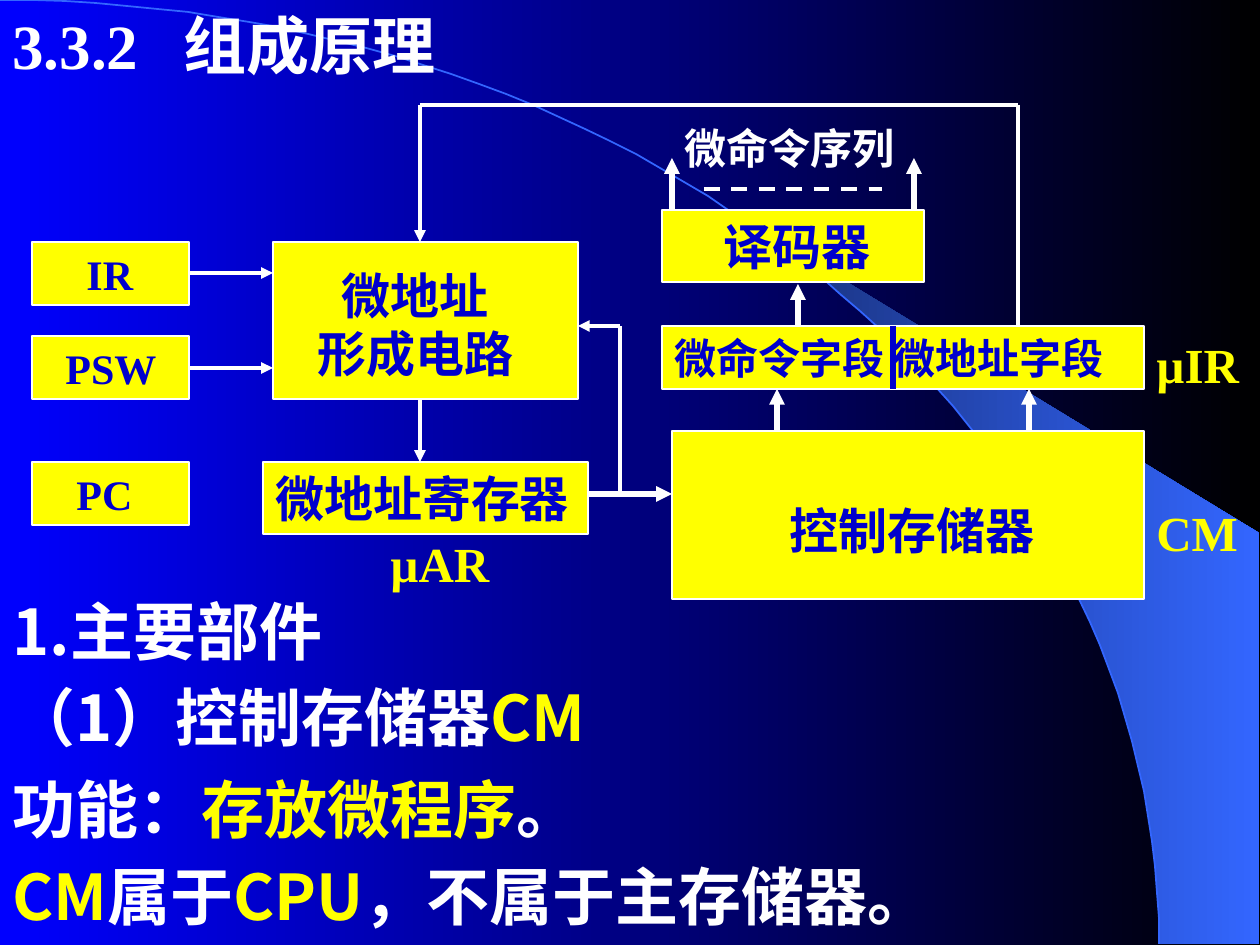
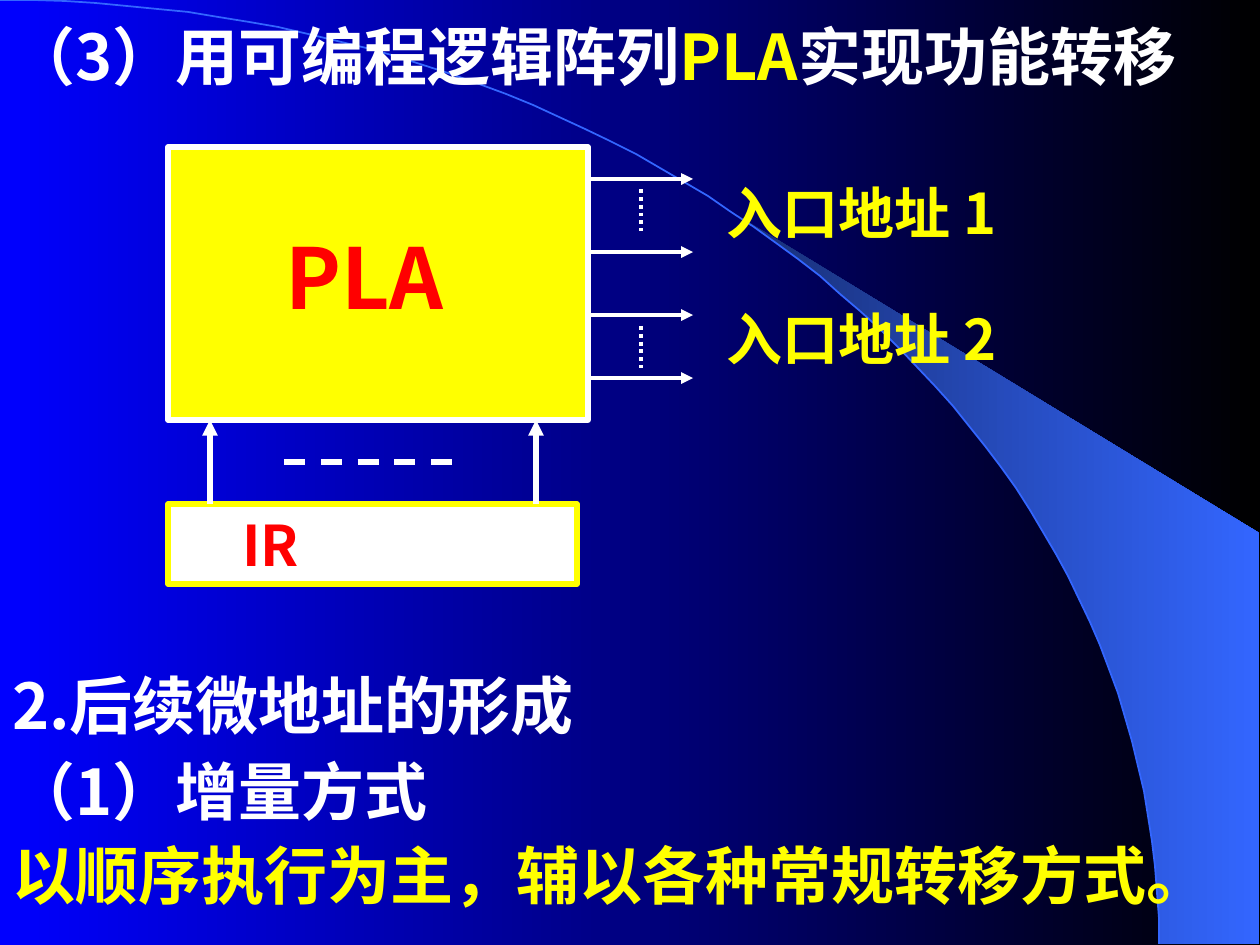
"""Builds two slides on the structure of a microprogrammed control unit."""
import itertools

import pptx
import pptx.dml.color
import pptx.enum.dml
import pptx.enum.shapes
import pptx.enum.text
import pptx.oxml.ns
import pptx.util
from lxml import etree

PX = 914400 / 126
WIDTH, HEIGHT = 1260, 945
COLORS = {"white": "FFFFFF", "yellow": "FFFF00", "navy": "0000CC", "red": "FF0000",
          "blue": "0000FF", "black": "000000", "arc": "3366FF", "wedge": "182F76"}
SERIF, SANS = "Times New Roman", "Noto Sans CJK SC"
DASH = pptx.enum.dml.MSO_LINE.DASH
DOTS = pptx.enum.dml.MSO_LINE.ROUND_DOT

ARC_CONTROLS = [(0, 0), (640, 0), (1159, 422), (1159, 944)]
ARC_STEPS = 60
WEDGE_START = (742, 218)
WEDGE_CORNERS = [(1259, 944), (1259, 533)]

HEADING = dict(size=36, colors=("white", "yellow"), spacing=0.7)
HIGHLIGHT = dict(HEADING, colors=("yellow", "white"))
SECTION = dict(HEADING, spacing=0.6)
ENTRY = dict(size=32, colors=("yellow",), spacing=0.7)
UNIT = dict(size=28, colors=("navy",), font=SERIF)
BOX = dict(UNIT, fill="yellow", border="white")
SMALL_BOX = dict(BOX, size=24)
ABBREVIATION = dict(size=28, colors=("yellow",), font=SERIF)

STRUCTURE_TEXTS = [
    ((0, 0, 588, 88), "3.3.2\t组成原理", dict(size=36, font=SERIF, tab=171)),
    ((0, 613, 420, 58), "1.主要部件", SECTION),
    ((0, 693, 766, 66), "（1）控制存储器|CM", HEADING),
    ((0, 785, 231, 66), "功能：", HEADING),
    ((189, 785, 609, 66), "存放微程序|。", HIGHLIGHT),
    ((0, 872, 1071, 66), "CM|属于|CPU|，不属于主存储器。", HIGHLIGHT),
    ((273, 242, 305, 157), "", BOX),
    ((305, 275, 283, 115), "微地址\n形成电路", dict(UNIT, spacing=0.6, before=13, indents=(24, 0))),
    ((32, 242, 157, 63), "IR", dict(SMALL_BOX, indents=(42,))),
    ((32, 336, 157, 63), "PSW", dict(SMALL_BOX, indents=(21,))),
    ((32, 462, 157, 63), "PC", dict(SMALL_BOX, indents=(32,))),
    ((263, 462, 325, 72), "微地址寄存器", BOX),
    ((368, 527, 168, 72), "µAR", dict(ABBREVIATION, indents=(10,))),
    ((672, 431, 472, 168), "", BOX),
    ((777, 494, 294, 72), "控制存储器", UNIT),
    ((1144, 496, 136, 72), "CM", ABBREVIATION),
    ((662, 210, 262, 72), "译码器", dict(BOX, indents=(49,))),
    ((672, 116, 262, 63), "微命令序列", dict(size=24, font=SERIF)),
    ((662, 326, 482, 63), "微命令字段 微地址字段", dict(SMALL_BOX, font=SANS)),
    ((1144, 328, 136, 72), "µIR", ABBREVIATION),
]
THICK_ARROW = dict(width=3, arrow=True)
ARROW = dict(arrow=True)
STRUCTURE_LINES = [
    ((893, 326, 893, 389), dict(width=3, color="navy")),
    ((777, 431, 777, 389), THICK_ARROW),
    ((1029, 431, 1029, 389), THICK_ARROW),
    ((798, 326, 798, 284), THICK_ARROW),
    ((672, 210, 672, 158), THICK_ARROW),
    ((914, 210, 914, 158), THICK_ARROW),
    ((704, 189, 882, 189), dict(dash=DASH)),
    ((588, 494, 672, 494), THICK_ARROW),
    ((620, 494, 620, 326), {}),
    ((620, 326, 578, 326), ARROW),
    ((420, 399, 420, 462), ARROW),
    ((189, 273, 273, 273), ARROW),
    ((189, 368, 273, 368), ARROW),
    ((420, 105, 1018, 105), {}),
    ((1018, 105, 1018, 326), {}),
    ((420, 105, 420, 242), ARROW),
]

PLA_TEXTS = [
    ((0, 32, 1386, 66), "（3）用可编程逻辑阵列|PLA|实现功能转移", HEADING),
    ((714, 190, 546, 60), "入口地址 1", ENTRY),
    ((714, 316, 546, 60), "入口地址 2", ENTRY),
    ((168, 147, 420, 273), "", dict(fill="yellow", border="white", border_width=3)),
    ((273, 219, 221, 113), "PLA", dict(size=48, colors=("red",))),
    ((168, 504, 409, 80), "IR", dict(size=32, colors=("red",), fill="white",
                                     border="yellow", border_width=3, indents=(62,))),
    ((0, 687, 1071, 58), "2.后续微地址的形成", SECTION),
    ((0, 767, 892, 66), "（1）增量方式", HEADING),
    ((0, 851, 1260, 66), "以顺序执行为主，辅以各种常规转移方式。", HIGHLIGHT),
]
PLA_LINES = [((588, y, 693, y), ARROW) for y in (179, 252, 315, 378)]
PLA_LINES += [((x, 504, x, 420), THICK_ARROW) for x in (210, 536)]
PLA_LINES += [((641, y, 641, y + 42), dict(dash=DOTS)) for y in (189, 326)]
PLA_LINES += [((284, 462, 452, 462), dict(width=3, dash=DASH))]

SLIDES = [(STRUCTURE_TEXTS, STRUCTURE_LINES), (PLA_TEXTS, PLA_LINES)]


def emu(*lengths):
    return [pptx.util.Emu(round(length * PX)) for length in lengths]


def rgb(name):
    return pptx.dml.color.RGBColor.from_string(COLORS[name])


def child(parent, tag, **attributes):
    return etree.SubElement(parent, pptx.oxml.ns.qn(tag), attributes)


def shade(fill, first, last):
    fill.gradient()
    fill.gradient_angle = 0
    for stop, name in zip(fill.gradient_stops, (first, last)):
        stop.color.rgb = rgb(name)


def put_text(slide, place, text, size=24, font=SANS, colors=("white",), spacing=None,
             before=0, indents=(), tab=None, fill=None, border=None, border_width=0.75):
    if fill:
        shape = slide.shapes.add_shape(pptx.enum.shapes.MSO_SHAPE.RECTANGLE, *emu(*place))
        shape.shadow.inherit = False
        shape.fill.solid()
        shape.fill.fore_color.rgb = rgb(fill)
        shape.line.color.rgb = rgb(border)
        shape.line.width = pptx.util.Pt(border_width)
    else:
        shape = slide.shapes.add_textbox(*emu(*place))
    if not text:
        return
    frame = shape.text_frame
    frame.word_wrap = True
    frame.vertical_anchor = pptx.enum.text.MSO_ANCHOR.MIDDLE
    for number, line in enumerate(text.split("\n")):
        paragraph = frame.add_paragraph() if number else frame.paragraphs[0]
        properties = paragraph._p.get_or_add_pPr()
        if number < len(indents):
            properties.set("marL", str(emu(indents[number])[0]))
        if tab:
            child(child(properties, "a:tabLst"), "a:tab", pos=str(emu(tab)[0]), algn="l")
        paragraph.alignment = pptx.enum.text.PP_ALIGN.LEFT
        if spacing:
            paragraph.line_spacing = spacing
        if number:
            paragraph.space_before = pptx.util.Pt(before)
        for words, color in zip(line.split("|"), itertools.cycle(colors)):
            run = paragraph.add_run()
            run.text = words
            run.font.size = pptx.util.Pt(size)
            run.font.bold = True
            run.font.color.rgb = rgb(color)
            run.font.name = font
            child(run._r.get_or_add_rPr(), "a:ea", typeface=SANS)


def put_line(slide, ends, width=2.25, color="white", dash=None, arrow=False):
    straight = pptx.enum.shapes.MSO_CONNECTOR.STRAIGHT
    connector = slide.shapes.add_connector(straight, *emu(*ends))
    connector.line.width = pptx.util.Pt(width)
    connector.line.color.rgb = rgb(color)
    if dash:
        connector.line.dash_style = dash
    if arrow:
        child(connector.line._get_or_add_ln(), "a:tailEnd", type="triangle")
    child(connector._element.spPr, "a:effectLst")


def arc_point(t):
    weights = ((1 - t) ** 3, 3 * t * (1 - t) ** 2, 3 * t * t * (1 - t), t ** 3)
    return tuple(sum(w * c for w, c in zip(weights, axis)) for axis in zip(*ARC_CONTROLS))


def put_outline(slide, points, close):
    builder = slide.shapes.build_freeform(*points[0], scale=PX)
    builder.add_line_segments(points[1:], close=close)
    outline = builder.convert_to_shape()
    outline.shadow.inherit = False
    return outline


def put_backdrop(slide):
    arc = [arc_point(step / ARC_STEPS) for step in range(ARC_STEPS + 1)]
    edge = [point for point in arc if point[0] > WEDGE_START[0]]
    wedge = put_outline(slide, [WEDGE_START] + edge + WEDGE_CORNERS, True)
    shade(wedge.fill, "wedge", "arc")
    wedge.line.fill.background()
    curve = put_outline(slide, arc, False)
    curve.fill.background()
    curve.line.color.rgb = rgb("arc")
    curve.line.width = pptx.util.Pt(1)


def main():
    deck = pptx.Presentation()
    deck.slide_width, deck.slide_height = emu(WIDTH, HEIGHT)
    shade(deck.slide_master.background.fill, "blue", "black")
    for texts, lines in SLIDES:
        slide = deck.slides.add_slide(deck.slide_layouts[6])
        put_backdrop(slide)
        for place, text, style in texts:
            put_text(slide, place, text, **style)
        for ends, style in lines:
            put_line(slide, ends, **style)
    deck.save("out.pptx")


if __name__ == "__main__":
    main()
